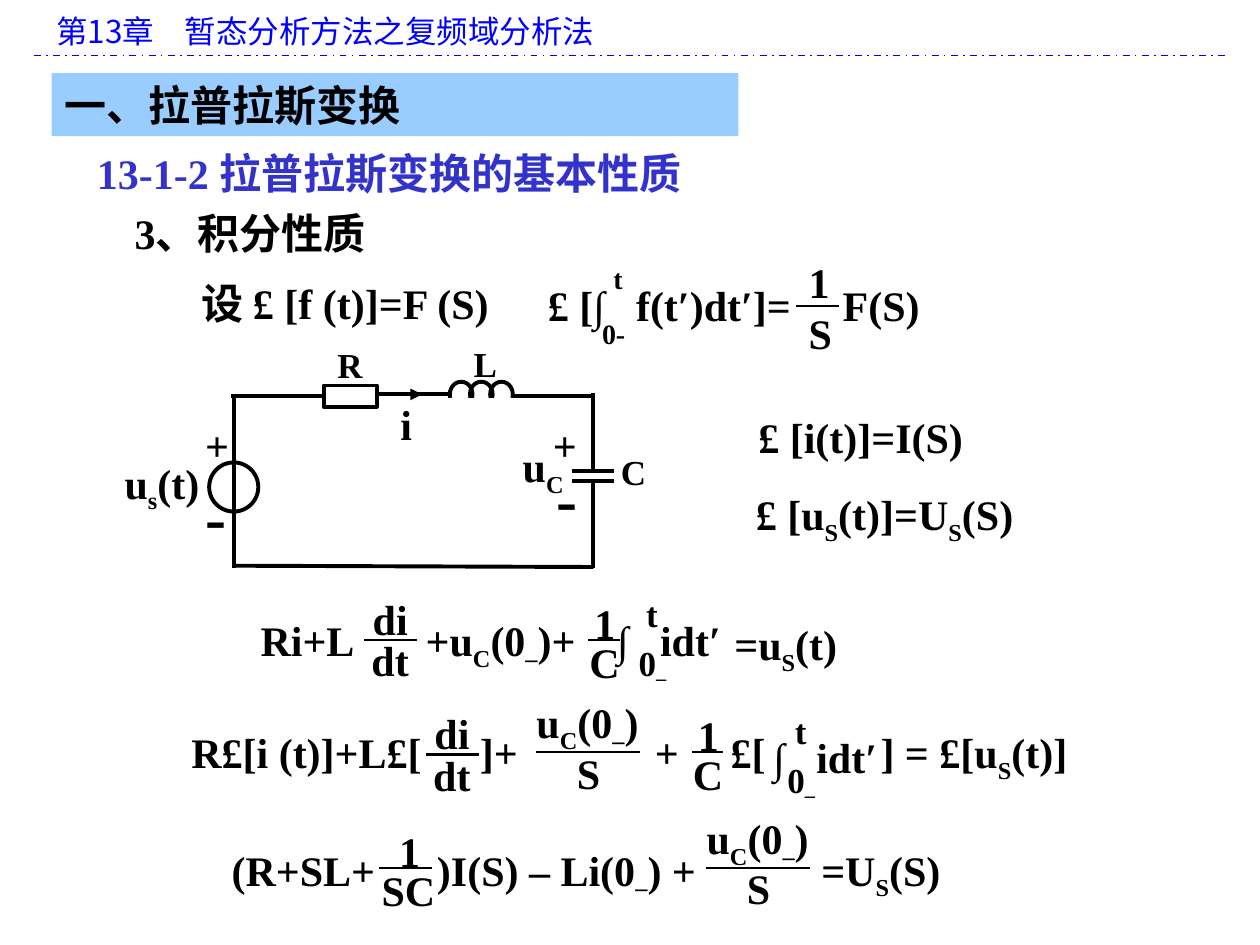
import pptx
import pptx.util
import pptx.dml.color
import pptx.enum.dml
import pptx.enum.shapes
import pptx.enum.text
import pptx.oxml.ns
from lxml import etree
from dataclasses import dataclass
from typing import NamedTuple

UNIT = pptx.util.Cm(2.54)
SHAPE = pptx.enum.shapes.MSO_SHAPE
qn = pptx.oxml.ns.qn


@dataclass(frozen=True)
class Theme:
    ink: str = "000000"
    head: str = "0000FF"
    topic: str = "3333CC"
    band: str = "99CCFF"
    latin: str = "Times New Roman"
    asian: str = "Noto Sans CJK SC"
    body: int = 24
    label: int = 20
    limit: int = 16
    sign: int = 36
    chapter: int = 18
    wire: float = 2.25
    bar: float = 1.5


THEME = Theme()
HEIGHT = {THEME.body: 0.5, THEME.label: 0.43, THEME.limit: 0.37,
          THEME.sign: 0.7, THEME.chapter: 0.4}


class Text(NamedTuple):
    """A text box; {x} marks a subscript, tabs are measured from the text edge."""
    left: float
    top: float
    width: float
    words: str
    size: int = THEME.body
    wrap: bool = True
    tabs: tuple = ()
    color: str = THEME.ink
    font: str = THEME.latin
    bold: bool = True


class Line(NamedTuple):
    x1: float
    y1: float
    x2: float
    y2: float
    width: float = THEME.wire
    color: str = THEME.ink
    dash: bool = False
    arrow: bool = False


class Part(NamedTuple):
    """Half of a fraction, placed relative to the left end of its bar."""
    words: str
    dx: float
    dy: float
    width: float
    wrap: bool = True


class Ratio(NamedTuple):
    length: float
    upper: Part
    lower: Part


def size(*vals: float) -> list:
    return [int(val * UNIT) for val in vals]


def rgb(code: str) -> pptx.dml.color.RGBColor:
    return pptx.dml.color.RGBColor.from_string(code)


def put(item, **vals) -> None:
    for name, val in vals.items():
        setattr(item, name, val)


def fill_text(frame, text: Text) -> None:
    put(frame, word_wrap=text.wrap, auto_size=pptx.enum.text.MSO_AUTO_SIZE.NONE,
        vertical_anchor=pptx.enum.text.MSO_ANCHOR.TOP)
    for num, row in enumerate(text.words.split("\n")):
        para = frame.add_paragraph() if num else frame.paragraphs[0]
        put(para, alignment=pptx.enum.text.PP_ALIGN.LEFT, space_before=pptx.util.Pt(0))
        if text.tabs:
            stops = etree.SubElement(para._p.get_or_add_pPr(), qn("a:tabLst"))
            for stop in size(*text.tabs):
                etree.SubElement(stops, qn("a:tab"), pos=str(stop), algn="l")
        for spot, words in enumerate(row.replace("}", "{").split("{")):
            if not words:
                continue
            run = para.add_run()
            run.text = words
            put(run.font, name=text.font, size=pptx.util.Pt(text.size), bold=text.bold)
            run.font.color.rgb = rgb(text.color)
            props = run._r.get_or_add_rPr()
            etree.SubElement(props, qn("a:ea"), typeface=THEME.asian)
            if spot % 2:
                props.set("baseline", "-25000")


def add_text(slide, text: Text) -> None:
    rows = text.words.count("\n")
    high = HEIGHT[text.size] + 0.4 * rows
    box = slide.shapes.add_textbox(*size(text.left, text.top, text.width, high))
    fill_text(box.text_frame, text)


def add_line(slide, line: Line) -> None:
    item = slide.shapes.add_connector(pptx.enum.shapes.MSO_CONNECTOR.STRAIGHT, *size(*line[:4]))
    item.line.color.rgb = rgb(line.color)
    item.line.width = pptx.util.Pt(line.width)
    if line.dash:
        item.line.dash_style = pptx.enum.dml.MSO_LINE.DASH_DOT
    props = item._element.spPr
    if line.arrow:
        etree.SubElement(props.find(qn("a:ln")), qn("a:tailEnd"), type="triangle")
    etree.SubElement(props, qn("a:effectLst"))


def add_ratio(slide, x: float, y: float, ratio: Ratio) -> None:
    for part in (ratio.upper, ratio.lower):
        add_text(slide, Text(x + part.dx, y + part.dy, part.width, part.words, wrap=part.wrap))
    add_line(slide, Line(x, y, x + ratio.length, y, THEME.bar))


def add_bounds(slide, x: float, y: float) -> None:
    """Limits of the integral from 0– to t."""
    add_text(slide, Text(x, y, 0.43, "0{–}", THEME.label, False))
    add_text(slide, Text(x + 0.06, y - 0.39, 0.29, "t", THEME.label, False))


def add_part(slide, kind, *place: float):
    """An unfilled circuit symbol."""
    item = slide.shapes.add_shape(kind, *size(*place))
    item.shadow.inherit = False
    item.fill.background()
    item.line.color.rgb = rgb(THEME.ink)
    item.line.width = pptx.util.Pt(THEME.wire)
    return item


SLOPE = Ratio(0.42, Part("di", -0.03, -0.42, 0.77), Part("dt", -0.04, -0.09, 0.77))
PER_C = Ratio(0.25, Part("1", -0.05, -0.39, 0.37, False), Part("C", -0.09, -0.08, 0.44, False))
PER_SC = Ratio(0.42, Part("1", 0.06, -0.39, 0.37, False), Part("SC", -0.08, -0.08, 0.63, False))
START = Ratio(0.83, Part("u{C}(0{–})", -0.09, -0.49, 1.17), Part("S", 0.23, -0.09, 0.39, False))
RATIOS = [(2.89, 5.08, SLOPE), (3.38, 5.99, SLOPE), (4.67, 5.08, PER_C), (5.49, 5.97, PER_C),
          (4.25, 5.97, START), (5.6, 6.89, START), (3.01, 6.89, PER_SC)]
BOUNDS = [(4.97, 5.04), (6.15, 5.97)]

TITLE = Text(0.41, 0.58, 5.45, "一、拉普拉斯变换")
TEXTS = [
    Text(0.35, 0.05, 9.37, "第13章\t暂态分析方法之复频域分析法", THEME.chapter, tabs=(1.02,),
         color=THEME.head, font=THEME.asian, bold=False),
    Text(0.67, 1.12, 5.58, "13-1-2 拉普拉斯变换的基本性质", tabs=(1.04,), color=THEME.topic),
    Text(0.97, 1.6, 2.43, "3、积分性质"),
    Text(1.5, 2.15, 2.75, "设 £ [f (t)]=F (S)"),
    Text(4.25, 2.17, 4.6, "£ [∫\tf(t′)dt′]=\tF(S)", tabs=(0.7, 2.34)),
    Text(4.68, 2.46, 0.5, "0-", THEME.limit),
    Text(4.77, 2.03, 0.67, "t", THEME.limit),
    Text(6.32, 1.99, 0.68, "1\nS"),
    Text(5.92, 3.22, 2.42, "£ [i(t)]=I(S)"),
    Text(5.9, 3.83, 2.28, "£ [u{S}(t)]=U{S}(S)"),
    Text(4.05, 3.45, 0.55, "u{C}", wrap=False),
    Text(4.83, 3.53, 0.4, "C", THEME.label, False),
    Text(2.58, 2.68, 0.4, "R", THEME.label, False),
    Text(3.66, 2.67, 0.39, "L", THEME.label, False),
    Text(3.08, 3.11, 0.29, "i", wrap=False),
    Text(0.89, 3.58, 0.81, "u{s}(t)", wrap=False),
    Text(1.53, 3.28, 0.39, "+", wrap=False),
    Text(4.29, 3.28, 0.39, "+", wrap=False),
    Text(1.53, 3.74, 0.37, "-", THEME.sign, False),
    Text(4.32, 3.6, 0.37, "-", THEME.sign, False),
    Text(1.97, 4.83, 4.43, "Ri+L\t+u{C}(0{–})+\t∫\tidt′", tabs=(1.31, 2.83, 3.17)),
    Text(5.73, 4.86, 1.35, "=u{S}(t)"),
    Text(1.42, 5.72, 7.83, "R£[i (t)]+L£[\t]+\t+\t£[\t] = £[u{S}(t)]",
         tabs=(2.29, 3.68, 4.28, 5.47)),
    Text(6.04, 5.76, 1.25, "∫\tidt′", tabs=(0.34,)),
    Text(1.74, 6.65, 6.33, "(R+SL+\t)I(S) – Li(0{–}) +\t=U{S}(S)", tabs=(1.63, 4.68)),
]
LINES = [
    Line(0.27, 0.44, 9.72, 0.44, 1, THEME.head, dash=True),
    Line(6.32, 2.43, 6.66, 2.43, THEME.bar),
    Line(1.83, 3.14, 2.58, 3.14),
    Line(2.98, 3.13, 3.57, 3.13),
    Line(3.1, 3.13, 3.35, 3.13, arrow=True),
    Line(4.07, 3.14, 4.71, 3.14),
    Line(4.71, 3.74, 4.71, 3.12),
    Line(4.54, 3.74, 4.87, 3.74),
    Line(4.54, 3.82, 4.87, 3.82),
    Line(4.71, 4.51, 4.71, 3.82),
    Line(1.85, 4.49, 4.71, 4.5),
    Line(1.86, 4.51, 1.86, 3.13),
]


def main() -> None:
    deck = pptx.Presentation()
    put(deck, slide_width=UNIT * 10, slide_height=int(UNIT * 7.5))
    slide = deck.slides.add_slide(deck.slide_layouts[5])
    title = slide.shapes.title
    left, top, width, height = size(*TITLE[:3], HEIGHT[TITLE.size])
    put(title, left=left, top=top, width=width, height=height)
    title.fill.solid()
    title.fill.fore_color.rgb = rgb(THEME.band)
    fill_text(title.text_frame, TITLE)

    add_part(slide, SHAPE.RECTANGLE, 2.57, 3.06, 0.42, 0.17)
    add_part(slide, SHAPE.OVAL, 1.66, 3.67, 0.39, 0.39)
    for turn in range(3):
        coil = add_part(slide, SHAPE.ARC, 3.57 + 0.16 * turn, 3.03, 0.18, 0.2)
        for num, angle in enumerate((162, 18)):
            coil.adjustments[num] = angle * 0.6
    for line in LINES:
        add_line(slide, line)
    for text in TEXTS:
        add_text(slide, text)
    for x, y, ratio in RATIOS:
        add_ratio(slide, x, y, ratio)
    for x, y in BOUNDS:
        add_bounds(slide, x, y)
    deck.save("out.pptx")


if __name__ == "__main__":
    main()
